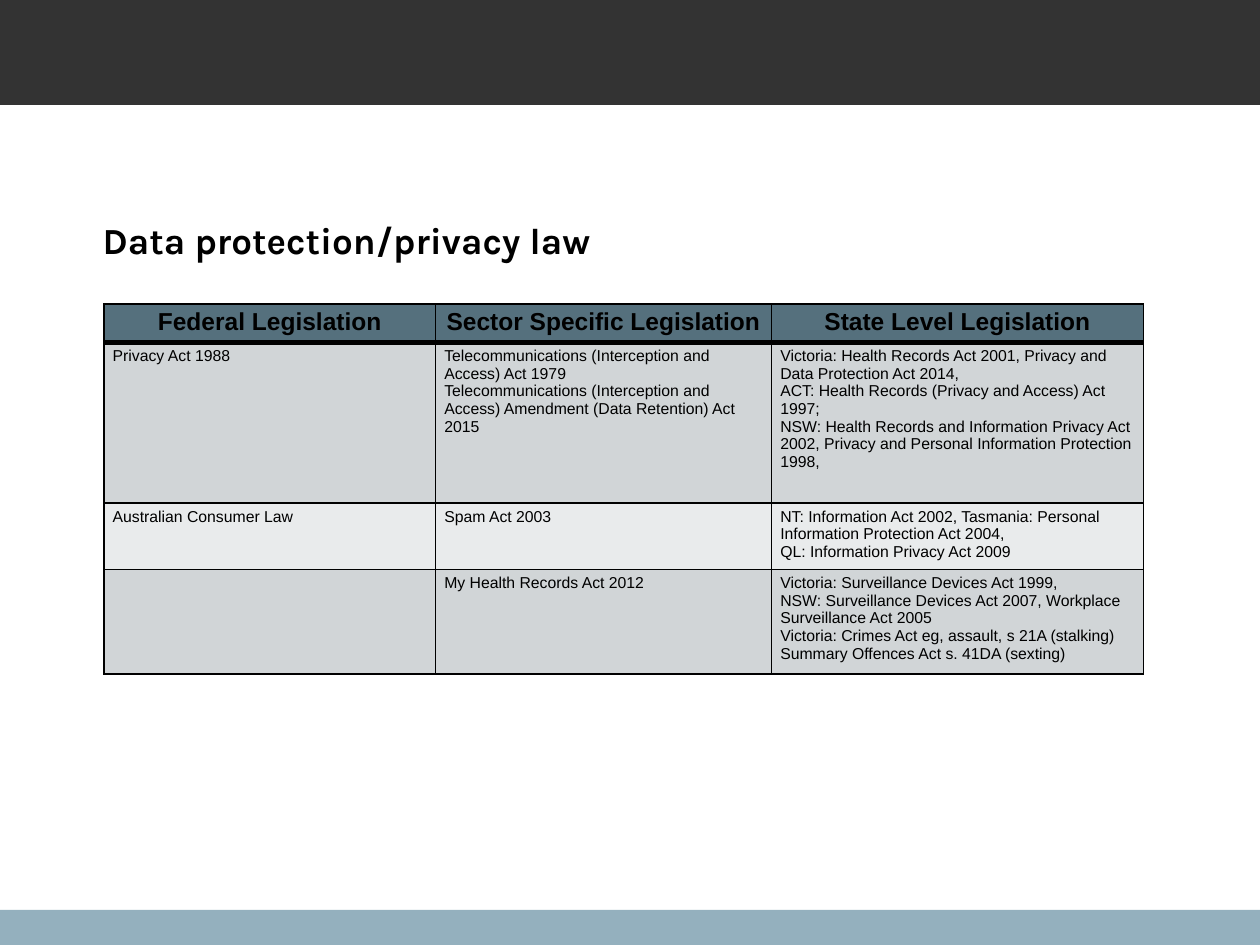
import pptx
import pptx.dml.color
import pptx.enum.shapes
import pptx.enum.text
import pptx.oxml
import pptx.oxml.ns
import pptx.util

Pt = pptx.util.Pt
ALIGN = pptx.enum.text.PP_ALIGN

TITLE = "Data protection/privacy law"
HEADERS = ["Federal Legislation", "Sector Specific Legislation", "State Level Legislation"]
LAWS = [
    [
        ["Privacy Act 1988"],
        ["Telecommunications (Interception and Access) Act 1979",
         "Telecommunications (Interception and Access) Amendment (Data Retention) Act 2015"],
        ["Victoria: Health Records Act 2001, Privacy and Data Protection Act 2014,",
         "ACT: Health Records (Privacy and Access) Act 1997;",
         "NSW: Health Records and Information Privacy Act 2002, "
         "Privacy and Personal Information Protection 1998,"],
    ],
    [
        ["Australian Consumer Law"],
        ["Spam Act 2003"],
        ["NT: Information Act 2002, Tasmania: Personal Information Protection Act 2004,",
         "QL: Information Privacy Act 2009"],
    ],
    [
        [],
        ["My Health Records Act 2012"],
        ["Victoria: Surveillance Devices Act 1999,",
         "NSW: Surveillance Devices Act 2007, Workplace Surveillance Act 2005",
         "Victoria: Crimes Act eg, assault, s 21A (stalking) "
         "Summary Offences Act s. 41DA (sexting)"],
    ],
]

WIDTH, HEIGHT = 720, 540
BANDS = [(520, 20, "94B0BE"), (0, 60, "333333")]  # top, height, colour
TABLE_LEFT, TABLE_TOP = 59.4, 173.6
COLUMN_WIDTHS = [189.5, 192, 212.5]
ROW_HEIGHTS = [22, 91.7, 38, 59.3]
HEADER_FILL = "55707D"
ROW_FILLS = ["D1D5D7", "E9EBEC"]
BLACK = "000000"

TITLE_FORMAT = {"name": "Karla", "size": Pt(21), "bold": True}
HEADER_FORMAT = {"name": "Arial", "size": Pt(14), "bold": True}
BODY_FORMAT = {"name": "Arial", "size": Pt(9), "bold": False}
TITLE_FRAME = {"word_wrap": True, "vertical_anchor": pptx.enum.text.MSO_ANCHOR.BOTTOM,
               "margin_left": Pt(24)}
CELL_MARGINS = {"margin_left": Pt(5), "margin_right": Pt(5),
                "margin_top": Pt(2.7), "margin_bottom": Pt(2.7)}


def rgb(value):
    return pptx.dml.color.RGBColor.from_string(value)


def set_attributes(target, values):
    for name, value in values.items():
        setattr(target, name, value)


def write_paragraphs(text_frame, lines, font_format, alignment=ALIGN.LEFT):
    for index, line in enumerate(lines):
        paragraph = text_frame.add_paragraph() if index else text_frame.paragraphs[0]
        paragraph.alignment = alignment
        run = paragraph.add_run()
        run.text = line
        set_attributes(run.font, font_format)
        run.font.color.rgb = rgb(BLACK)


def set_borders(cell, widths):
    """Draw black cell borders, given widths in points by side."""
    properties = cell._tc.get_or_add_tcPr()
    for index, (side, width) in enumerate(widths.items()):
        properties.insert(index, pptx.oxml.parse_xml(
            f'<a:ln{side} {pptx.oxml.ns.nsdecls("a")} w="{Pt(width)}">'
            f'<a:solidFill><a:srgbClr val="{BLACK}"/></a:solidFill></a:ln{side}>'))


def add_bands(slide):
    for top, height, color in BANDS:
        band = slide.shapes.add_shape(pptx.enum.shapes.MSO_SHAPE.RECTANGLE,
                                      0, Pt(top), Pt(WIDTH), Pt(height))
        band.shadow.inherit = False
        band.fill.solid()
        band.fill.fore_color.rgb = rgb(color)
        band.line.fill.background()


def add_title(slide):
    box = slide.shapes.add_textbox(Pt(34.6), Pt(102.2), Pt(459.4), Pt(51.2))
    set_attributes(box.text_frame, TITLE_FRAME)
    write_paragraphs(box.text_frame, [TITLE], TITLE_FORMAT)


def add_law_table(slide):
    rows = [[[header] for header in HEADERS]] + LAWS
    table = slide.shapes.add_table(
        len(rows), len(HEADERS), Pt(TABLE_LEFT), Pt(TABLE_TOP),
        Pt(sum(COLUMN_WIDTHS)), Pt(sum(ROW_HEIGHTS))).table
    for column, width in zip(table.columns, COLUMN_WIDTHS):
        column.width = Pt(width)
    for row_index, (row, height) in enumerate(zip(rows, ROW_HEIGHTS)):
        table.rows[row_index].height = Pt(height)
        is_header = row_index == 0
        fill = HEADER_FILL if is_header else ROW_FILLS[(row_index - 1) % 2]
        font_format = HEADER_FORMAT if is_header else BODY_FORMAT
        alignment = ALIGN.CENTER if is_header else ALIGN.LEFT
        borders = {"L": 1, "R": 1, "T": 3 if row_index == 1 else 1, "B": 3 if is_header else 1}
        for column_index, lines in enumerate(row):
            cell = table.cell(row_index, column_index)
            set_attributes(cell, CELL_MARGINS)
            cell.fill.solid()
            cell.fill.fore_color.rgb = rgb(fill)
            set_borders(cell, borders)
            write_paragraphs(cell.text_frame, lines, font_format, alignment)


def main():
    presentation = pptx.Presentation()
    presentation.slide_width, presentation.slide_height = Pt(WIDTH), Pt(HEIGHT)
    slide = presentation.slides.add_slide(presentation.slide_layouts[6])
    add_bands(slide)
    add_title(slide)
    add_law_table(slide)
    presentation.save("out.pptx")


if __name__ == "__main__":
    main()
